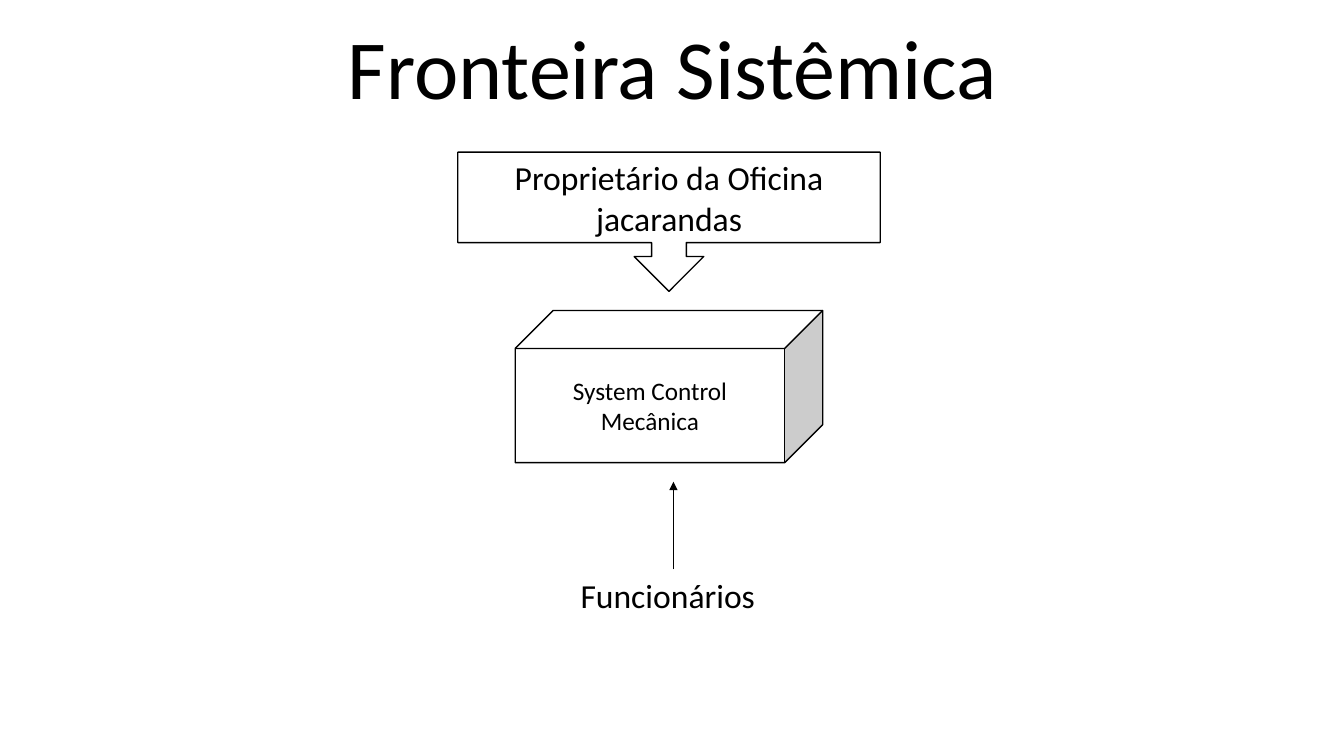
from lxml import etree
from pptx import Presentation
from pptx import util as u
from pptx.dml.color import RGBColor
from pptx.enum import shapes, text
from pptx.oxml.ns import qn

COLORS = {"ink": "000000", "paper": "FFFFFF"}
FONT = "Calibri"
SLIDE_WIDTH, SLIDE_HEIGHT = u.Inches(13.33), u.Inches(7.5)
COLUMNS, ROWS = 133.3, 75


def column(count):
    """Return the length of a number of grid columns."""
    return round(SLIDE_WIDTH * count / COLUMNS)


def row(count):
    """Return the length of a number of grid rows."""
    return round(SLIDE_HEIGHT * count / ROWS)


def place(box):
    """Turn a left, top, width, height grid box into slide lengths."""
    left, top, width, height = box
    return column(left), row(top), column(width), row(height)


def write(shape, words, size, anchor, alignment, line_spacing=1.0):
    """Put one styled paragraph into a shape."""
    frame = shape.text_frame
    frame.text = words
    frame.word_wrap = True
    frame.vertical_anchor = anchor
    paragraph = frame.paragraphs[0]
    paragraph.alignment = alignment
    paragraph.line_spacing = line_spacing
    font = paragraph.runs[0].font
    font.name, font.size = FONT, u.Pt(size)
    font.color.rgb = RGBColor.from_string(COLORS["ink"])


def add_title(slide, box, words):
    """Add the centred slide title."""
    title = slide.shapes.add_textbox(*place(box))
    write(title, words, 60, text.MSO_ANCHOR.BOTTOM, text.PP_ALIGN.CENTER, 0.9)


def add_block(slide, box, kind, words, size):
    """Add an outlined block with centred words."""
    block = slide.shapes.add_shape(kind, *place(box))
    block.shadow.inherit = False
    block.fill.solid()
    block.fill.fore_color.rgb = RGBColor.from_string(COLORS["paper"])
    block.line.color.rgb = RGBColor.from_string(COLORS["ink"])
    block.line.width = u.Pt(1)
    write(block, words, size, text.MSO_ANCHOR.MIDDLE, text.PP_ALIGN.CENTER)


def add_staff(slide, box, arrow_height, words):
    """Add the staff label and the arrow rising from its top centre."""
    left, top, width, height = box
    middle = column(left + width / 2)
    arrow = slide.shapes.add_connector(
        shapes.MSO_CONNECTOR.CURVE, middle, row(top), middle, row(top - arrow_height)
    )
    arrow.line.color.rgb = RGBColor.from_string(COLORS["ink"])
    arrow.line.width = u.Pt(0.5)
    etree.SubElement(arrow.line._get_or_add_ln(), qn("a:tailEnd"), type="triangle")
    etree.SubElement(arrow._element.spPr, qn("a:effectLst"))
    label = slide.shapes.add_textbox(*place(box))
    write(label, words, 24, text.MSO_ANCHOR.TOP, text.PP_ALIGN.LEFT)
    label.text_frame.auto_size = text.MSO_AUTO_SIZE.SHAPE_TO_FIT_TEXT


def main():
    """Build the system boundary slide."""
    presentation = Presentation()
    presentation.slide_width, presentation.slide_height = SLIDE_WIDTH, SLIDE_HEIGHT
    slide = presentation.slides.add_slide(presentation.slide_layouts[6])
    kinds = shapes.MSO_SHAPE
    add_title(slide, (16.7, 1.7, 100, 10.5), "Fronteira Sistêmica")
    add_block(slide, (51.1, 30.8, 30.5, 15.1), kinds.CUBE, "System Control Mecânica", 18)
    add_staff(slide, (56.6, 56.5, 20.4, 5), 8.7, "Funcionários")
    add_block(slide, (45.4, 15.1, 41.9, 13.8), kinds.DOWN_ARROW_CALLOUT,
              "Proprietário da Oficina jacarandas", 24)
    presentation.save("out.pptx")


if __name__ == "__main__":
    main()
